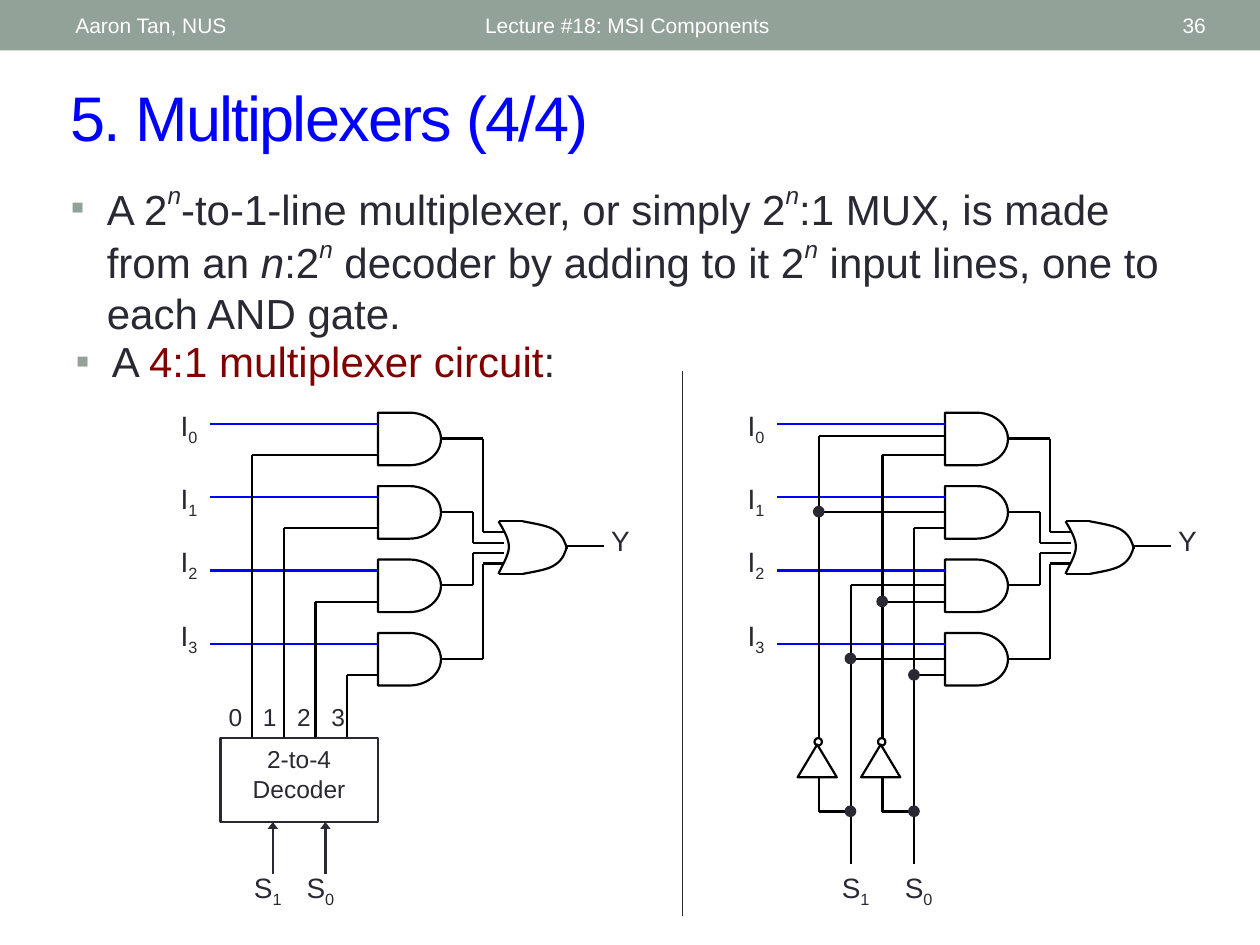
from lxml import etree
from pptx import Presentation
from pptx.dml.color import RGBColor
from pptx.enum.shapes import MSO_CONNECTOR, MSO_SHAPE
from pptx.enum.text import MSO_ANCHOR, MSO_AUTO_SIZE, PP_ALIGN
from pptx.oxml.ns import qn
from pptx.util import Cm, Pt

RECT, OVAL = MSO_SHAPE.RECTANGLE, MSO_SHAPE.OVAL
AND_GATE, TRIANGLE = MSO_SHAPE.FLOWCHART_DELAY, MSO_SHAPE.FLOWCHART_MERGE
STRAIGHT = MSO_CONNECTOR.STRAIGHT
TOP, MIDDLE = MSO_ANCHOR.TOP, MSO_ANCHOR.MIDDLE
LEFT, CENTER, RIGHT = PP_ALIGN.LEFT, PP_ALIGN.CENTER, PP_ALIGN.RIGHT
FIXED = MSO_AUTO_SIZE.NONE

SAGE = RGBColor(0x93, 0xA2, 0x99)
INK = RGBColor(0x29, 0x29, 0x34)
BLACK = RGBColor(0, 0, 0)
BLUE = RGBColor(0, 0, 0xFF)
MAROON = RGBColor(0x80, 0, 0)
WHITE = RGBColor(0xFF, 0xFF, 0xFF)

# Circuit geometry in cm
GATE_X, GATE_W, GATE_H = 7.62, 1.27, 1.06
GATE_TOPS = [8.32 + 1.48 * i for i in range(4)]
DATA, MID, LOW = 0.22, 0.52, 0.85     # wire heights below a gate's top
COLS = [5.08 + 0.64 * i for i in range(4)]
OR_X, OR_TOP, OR_MID, OR_TIP = 10.05, 10.51, 11.04, 11.43
DECODER_TOP = 14.88
SHIFT = 11.43                         # from the left circuit to the right one

SUP = {"italic": True, "baseline": 50}
SUB = {"baseline": -25}


def style_text(sp, runs, size, color=INK, align=LEFT, anchor=TOP):
    """Fill a shape's one paragraph with (text, format) runs."""
    tf = sp.text_frame
    for name, value in {"word_wrap": True, "auto_size": FIXED,
                        "vertical_anchor": anchor}.items():
        setattr(tf, name, value)
    p = tf.paragraphs[0]
    p.alignment = align
    for text, fmt in runs:
        r = p.add_run()
        r.text = text
        values = {"name": "Arial", "size": Pt(size), **fmt}
        r.font.color.rgb = values.pop("color", color)
        for key, scale in (("baseline", 1000), ("spc", 100)):
            if key in values:
                r.font._element.set(key, str(values.pop(key) * scale))
        for name, value in values.items():
            setattr(r.font, name, value)
    return p


def add_text(shapes, box, runs, size, **options):
    sp = shapes.add_textbox(*map(Cm, box))
    return style_text(sp, runs, size, **options)


def fill_placeholder(sp, box, runs, size, **options):
    sp.left, sp.top, sp.width, sp.height = map(Cm, box)
    return style_text(sp, runs, size, **options)


def add_bullet(p):
    pPr = p._p.get_or_add_pPr()
    pPr.set("marL", str(Cm(0.73)))
    pPr.set("indent", str(-Cm(0.73)))
    p.space_before = Pt(0)
    clr = etree.SubElement(pPr, qn("a:buClr"))
    etree.SubElement(clr, qn("a:srgbClr"), val=str(SAGE))
    etree.SubElement(pPr, qn("a:buSzPct"), val="95000")
    etree.SubElement(pPr, qn("a:buFont"), typeface="Arial")
    etree.SubElement(pPr, qn("a:buChar"), char="▪")


def add_tabs(p, step, count):
    tabs = etree.SubElement(p._p.get_or_add_pPr(), qn("a:tabLst"))
    for i in range(1, count + 1):
        etree.SubElement(tabs, qn("a:tab"), pos=str(Cm(step * i)), algn="l")


def style_shape(sp, fill=None, line=BLACK, width=1.25):
    sp.shadow.inherit = False
    if fill is None:
        sp.fill.background()
    else:
        sp.fill.solid()
        sp.fill.fore_color.rgb = fill
    if line is None:
        sp.line.fill.background()
    else:
        sp.line.color.rgb = line
        sp.line.width = Pt(width)


def add_shape(shapes, kind, box, **style):
    sp = shapes.add_shape(kind, *map(Cm, box))
    style_shape(sp, **style)
    return sp


def add_wire(shapes, x1, y1, x2, y2, color=BLACK, width=1.25, arrow=False):
    s = shapes.add_connector(STRAIGHT, *map(Cm, (x1, y1, x2, y2)))
    s.line.color.rgb = color
    s.line.width = Pt(width)
    if arrow:
        etree.SubElement(s.line._get_or_add_ln(), qn("a:tailEnd"),
                         type="triangle", w="med", len="sm")
    etree.SubElement(s._element.spPr, qn("a:effectLst"))


def add_curve(shapes, points):
    """Draw a chain of cubic Béziers: a start, then three points a curve."""
    start, *rest = [(Cm(x), Cm(y)) for x, y in points]
    fb = shapes.build_freeform(*start, scale=1.0)
    fb.add_line_segments(rest, close=False)
    sp = fb.convert_to_shape()
    segments = list(sp._element.iter(qn("a:lnTo")))
    for i in range(0, len(segments), 3):
        curve = etree.Element(qn("a:cubicBezTo"))
        segments[i].addprevious(curve)
        for segment in segments[i:i + 3]:
            curve.append(segment[0])
            segment.getparent().remove(segment)
    style_shape(sp)


def add_or_gate(shapes):
    bottom = 2 * OR_MID - OR_TOP
    add_curve(shapes, [(OR_X, OR_TOP), (10.16, 10.69), (10.26, 10.87), (10.26, 11.03),
                       (10.26, 11.2), (10.08, 11.48), (OR_X, bottom)])
    upper = [(10.54, OR_TOP), (10.8, 10.56), (11.07, 10.6), (11.2, 10.7),
             (11.35, 10.8), (11.4, 10.95), (OR_TIP, 11.07)]
    add_curve(shapes, upper)
    add_curve(shapes, [(x, 2 * OR_MID - y) for x, y in upper])
    for y in (OR_TOP, bottom):
        add_wire(shapes, OR_X, y, 10.54, y)
    add_wire(shapes, OR_TIP, 11, 12.17, 11)
    add_text(shapes, (12.07, 10.43, 1.07, 0.94), [("Y", {})], 16)


def add_gate_network(shapes):
    """Draw what both circuits share: data inputs, AND gates and OR gate."""
    label_tops = (8.11, 9.58, 10.85, 12.34)
    for i, (top, label_top) in enumerate(zip(GATE_TOPS, label_tops)):
        add_shape(shapes, AND_GATE, (GATE_X, top, GATE_W, GATE_H))
        add_wire(shapes, 4.23, top + DATA, GATE_X, top + DATA, color=BLUE)
        bus = 9.73 if i in (0, 3) else 9.53
        y, or_y = top + MID, 10.73 + 0.21 * i
        add_wire(shapes, GATE_X + GATE_W, y, bus, y)
        add_wire(shapes, bus, y, bus, or_y)
        add_wire(shapes, bus, or_y, 10.16, or_y)
        add_text(shapes, (3.39, label_top, 1.07, 0.94), [("I", {}), (str(i), SUB)], 16)
    add_or_gate(shapes)


def add_select_labels(shapes, lefts):
    for left, digit in zip(lefts, "10"):
        add_text(shapes, (left, 17.42, 1.37, 0.94), [("S", {}), (digit, SUB)], 16)


def add_decoder(shapes):
    for x, top in zip(COLS, GATE_TOPS):
        add_wire(shapes, x, top + LOW, GATE_X, top + LOW)
        add_wire(shapes, x, top + LOW, x, DECODER_TOP)
    add_shape(shapes, RECT, (4.45, DECODER_TOP, 3.17, 1.69), line=INK, width=1.5)
    add_text(shapes, (4.66, DECODER_TOP, 2.74, 1.45), [("2-to-4 Decoder", {})], 14, align=CENTER)
    add_tabs(add_text(shapes, (4.36, 14.02, 2.97, 0.84), [("0\t1\t2\t3", {})], 14), 0.69, 3)
    for x in (5.5, 6.56):
        add_wire(shapes, x, 17.62, x, 16.57, color=INK, arrow=True)
    add_select_labels(shapes, (4.87, 5.93))


def add_select_logic(shapes):
    """Draw the inverters and select wires that stand in for the decoder."""
    loop_y, end_y = 16.36, 17.42
    mids = [8.79] + [top + MID for top in GATE_TOPS[1:]]
    lows = [top + LOW for top in GATE_TOPS]
    for i in range(4):
        add_wire(shapes, COLS[i // 2], mids[i], GATE_X, mids[i])
        add_wire(shapes, COLS[2 + i % 2], lows[i], GATE_X, lows[i])
    starts = (mids[0], mids[2], lows[0], lows[1])
    for x, start, end in zip(COLS, starts, (DECODER_TOP, end_y) * 2):
        add_wire(shapes, x, start, x, end)
    for x, partner in (COLS[:2], COLS[2:]):
        sp = add_shape(shapes, TRIANGLE, (x - 0.43, 15.01, 0.79, 0.66))
        sp._element.spPr.get_or_add_xfrm().set("flipV", "1")
        add_shape(shapes, OVAL, (x - 0.09, DECODER_TOP, 0.15, 0.15))
        add_wire(shapes, x, 15.67, x, loop_y)
        add_wire(shapes, x, loop_y, partner, loop_y)
    joints = zip(COLS + COLS[1::2], (mids[1], mids[3], lows[2], lows[3], loop_y, loop_y))
    for x, y in joints:
        add_shape(shapes, OVAL, (x - 0.11, y - 0.11, 0.21, 0.21), fill=INK, line=INK, width=0.75)
    add_select_labels(shapes, (5.29, 6.56))


def add_header(shapes):
    add_shape(shapes, RECT, (0, 0, 25.4, 1.02), fill=SAGE, line=None)
    for left, width, text, align in ((1.27, 8.05, "Aaron Tan, NUS", LEFT),
                                     (9.53, 11.43, "Lecture #18: MSI Components", LEFT),
                                     (22.15, 2.41, "36", RIGHT)):
        add_text(shapes, (left, 0.05, width, 0.91), [(text, {})], 12,
                 color=WHITE, align=align, anchor=MIDDLE)


def main():
    prs = Presentation()
    prs.slide_width, prs.slide_height = Cm(25.4), Cm(19.05)
    slide = prs.slides.add_slide(prs.slide_layouts[3])
    title, definition, example = slide.placeholders
    add_header(slide.shapes)
    fill_placeholder(title, (1.17, 1.45, 23.39, 1.78),
                     [("5. Multiplexers (4/4)", {"spc": -1})], 36, color=BLUE, anchor=MIDDLE)
    add_bullet(fill_placeholder(definition, (1.17, 3.5, 22.86, 3.07), [
        ("A 2", {}), ("n", SUP), ("-to-1-line multiplexer, or simply 2", {}), ("n", SUP),
        (":1 MUX, is made from an ", {}), ("n", {"italic": True}), (":2", {}), ("n", SUP),
        (" decoder by adding to it 2", {}), ("n", SUP),
        (" input lines, one to each AND gate.", {})], 24))
    add_bullet(fill_placeholder(example, (1.27, 6.63, 22.86, 1.3), [
        ("A ", {}), ("4:1 multiplexer circuit", {"color": MAROON}), (":", {})], 24))
    add_wire(slide.shapes, 13.76, 7.47, 13.76, 18.47, color=INK, width=0.75)
    for add_selection, shift in ((add_decoder, 0), (add_select_logic, SHIFT)):
        circuit = slide.shapes.add_group_shape()
        add_gate_network(circuit.shapes)
        add_selection(circuit.shapes)
        circuit.left += Cm(shift)
    prs.save("out.pptx")


if __name__ == "__main__":
    main()
